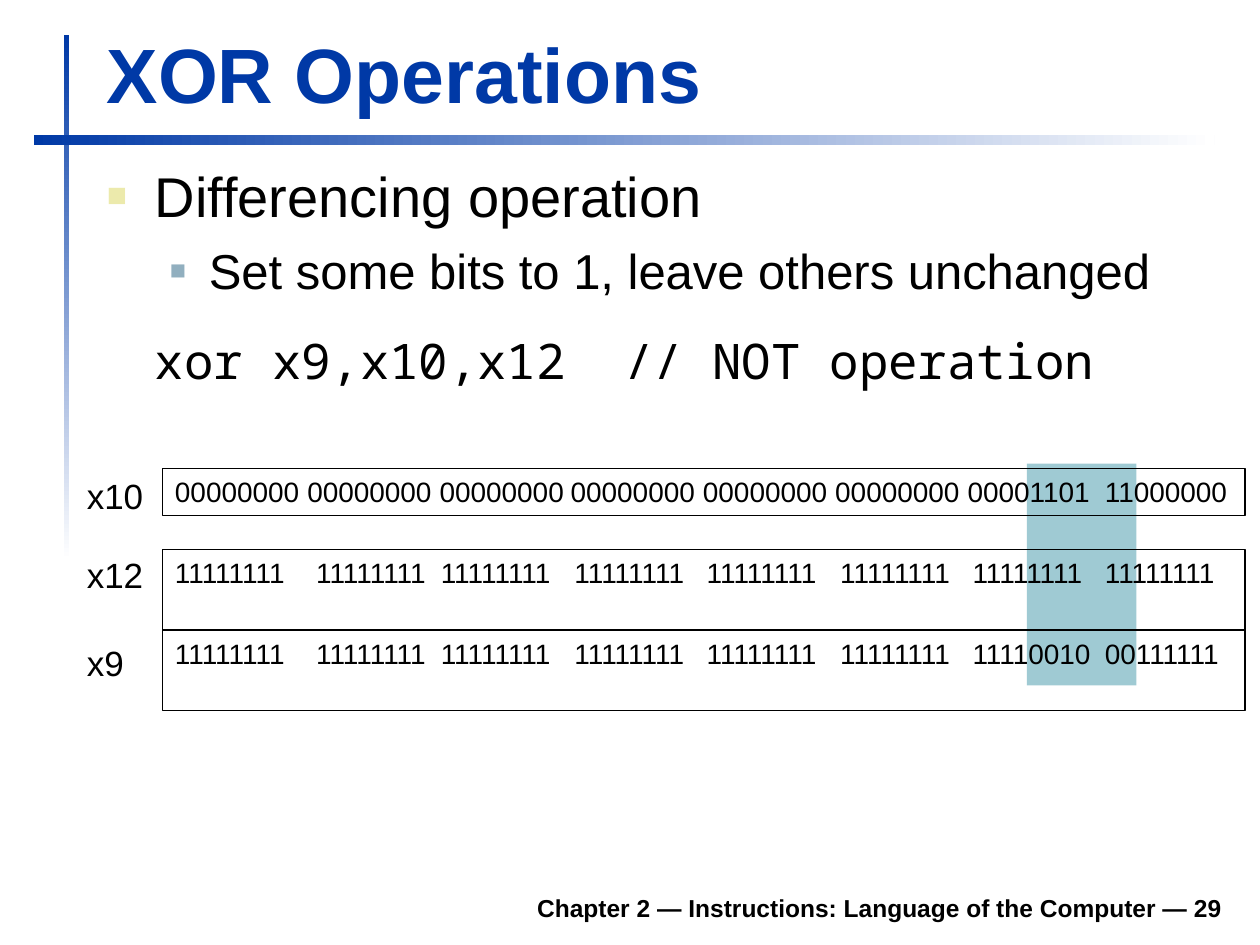
from lxml import etree
from pptx import Presentation
from pptx.dml.color import RGBColor
from pptx.enum import shapes, text
from pptx.oxml import ns
from pptx.util import Inches, Pt

COLORS = {
    "blue": "0039A6", "white": "FFFFFF", "black": "000000",
    "band": "9FCAD3", "cream": "ECEAAC", "steel": "91AFBF",
}
SANS, MONO = "Arial", "Noto Sans Mono"

TITLE = "XOR Operations"
FOOTER = "Chapter 2 — Instructions: Language of the Computer — 29"
# text, font, size, margin, indent, space before, space after, bullet colour, bullet size
BODY = [
    ("Differencing operation", SANS, 32, 0.38, -0.38, 0, 0, "cream", 60),
    ("Set some bits to 1, leave others unchanged", SANS, 28, 0.81, -0.31, 7, 0, "steel", 55),
    ("xor x9,x10,x12  // NOT operation", MONO, 28, 0.38, 0, 17.5, 10.5, None, 0),
]
ONES = ["11111111"]
ZEROS = ["00000000"]
EVEN = [1.05, 2.1, 3.14, 4.19, 5.24, 6.29, 7.38]
WIDE = [1.12, 2.11, 3.17, 4.22, 5.28, 6.33, 7.38]
# register, label top, row top, row height, bytes, tab stops
ROWS = [
    ("x10", 3.72, 3.72, 0.37, ZEROS * 6 + ["00001101", "11000000"], EVEN),
    ("x12", 4.34, 4.36, 0.64, ONES * 8, WIDE),
    ("x9", 5.04, 5.0, 0.64, ONES * 6 + ["11110010", "00111111"], WIDE),
]


def rgb(name):
    return RGBColor.from_string(COLORS[name])


def add(parent, tag, **attrs):
    return etree.SubElement(parent, ns.qn(tag), attrs)


def put(par, words, size, color="black", font=SANS, bold=False):
    run = par.add_run()
    run.text = words
    face = run.font
    face.size, face.name, face.bold = Pt(size), font, bold
    face.color.rgb = rgb(color)


def box(slide, *at, wrap=True, anchor=text.MSO_ANCHOR.TOP):
    frame = slide.shapes.add_textbox(*map(Inches, at)).text_frame
    frame.word_wrap, frame.vertical_anchor = wrap, anchor
    return frame


def rect(slide, *at):
    shape = slide.shapes.add_shape(shapes.MSO_SHAPE.RECTANGLE, *map(Inches, at))
    shape.shadow.inherit = False
    shape.line.fill.background()
    return shape


def fade(slide, angle, *at):
    """Rule that runs from blue to white."""
    fill = rect(slide, *at).fill
    fill.gradient()
    fill.gradient_angle = angle
    for stop, name, pos in zip(fill.gradient_stops, ("blue", "white"), (0, 1)):
        stop.color.rgb = rgb(name)
        stop.position = pos


def write_body(frame):
    for i, (words, font, size, margin, indent, before, after, dot, scale) in enumerate(BODY):
        par = frame.add_paragraph() if i else frame.paragraphs[0]
        par.space_before, par.space_after = Pt(before), Pt(after)
        props = par._p.get_or_add_pPr()
        props.set("marL", str(Inches(margin)))
        props.set("indent", str(Inches(indent)))
        if dot:
            add(add(props, "a:buClr"), "a:srgbClr", val=COLORS[dot])
            add(props, "a:buSzPct", val=str(scale * 1000))
            add(props, "a:buFont", typeface=SANS)
            add(props, "a:buChar", char="■")
        put(par, words, size, font=font)


def add_row(slide, name, label, top, height, data, stops):
    shape = rect(slide, 1.29, top, 8.59, height)
    shape.fill.background()
    shape.line.color.rgb = rgb("black")
    shape.line.width = Pt(0.75)
    frame = shape.text_frame
    frame.word_wrap, frame.vertical_anchor = True, text.MSO_ANCHOR.TOP
    par = frame.paragraphs[0]
    par.alignment = text.PP_ALIGN.LEFT
    tabs = add(par._p.get_or_add_pPr(), "a:tabLst")
    for stop in stops:
        add(tabs, "a:tab", pos=str(Inches(stop)), algn="l")
    put(par, "\t".join(data), 16)
    put(box(slide, 0.59, label, 0.65, 0.44, wrap=False).paragraphs[0], name, 20)


def main():
    deck = Presentation()
    deck.slide_width, deck.slide_height = Inches(10), Inches(7.5)
    slide = deck.slides.add_slide(deck.slide_layouts[6])
    low = text.MSO_ANCHOR.BOTTOM

    fade(slide, 270, 0.51, 0.28, 0.04, 4.17)
    fade(slide, 0, 0.27, 1.07, 9.37, 0.08)
    foot = box(slide, 1.85, 6.98, 7.95, 0.39, anchor=low).paragraphs[0]
    foot.alignment = text.PP_ALIGN.RIGHT
    put(foot, FOOTER, 14, bold=True)

    band = rect(slide, 8.15, 3.68, 0.87, 1.76)
    band.fill.solid()
    band.fill.fore_color.rgb = rgb("band")

    head = box(slide, 0.75, 0.16, 9.03, 0.83, anchor=low)
    put(head.paragraphs[0], TITLE, 44, "blue", bold=True)
    write_body(box(slide, 0.75, 1.23, 9.04, 2.27))
    for row in ROWS:
        add_row(slide, *row)
    deck.save("out.pptx")


if __name__ == "__main__":
    main()
